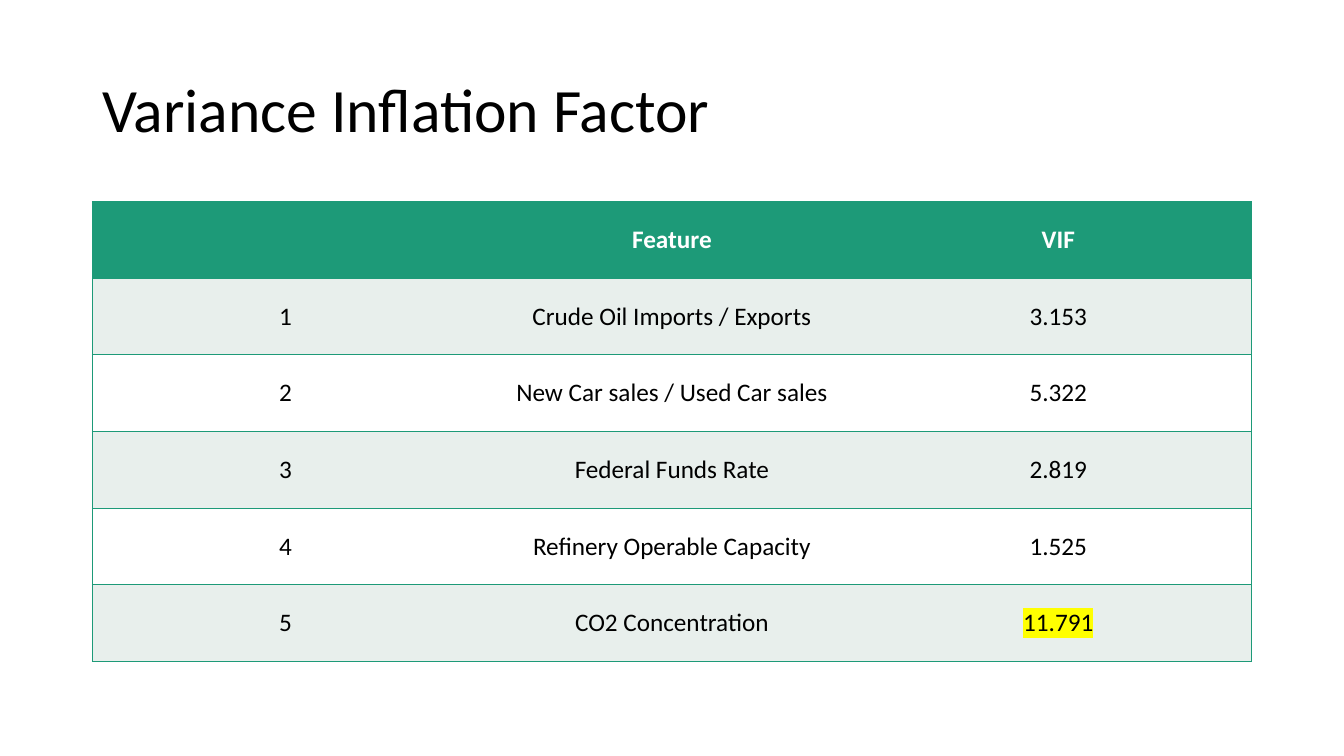
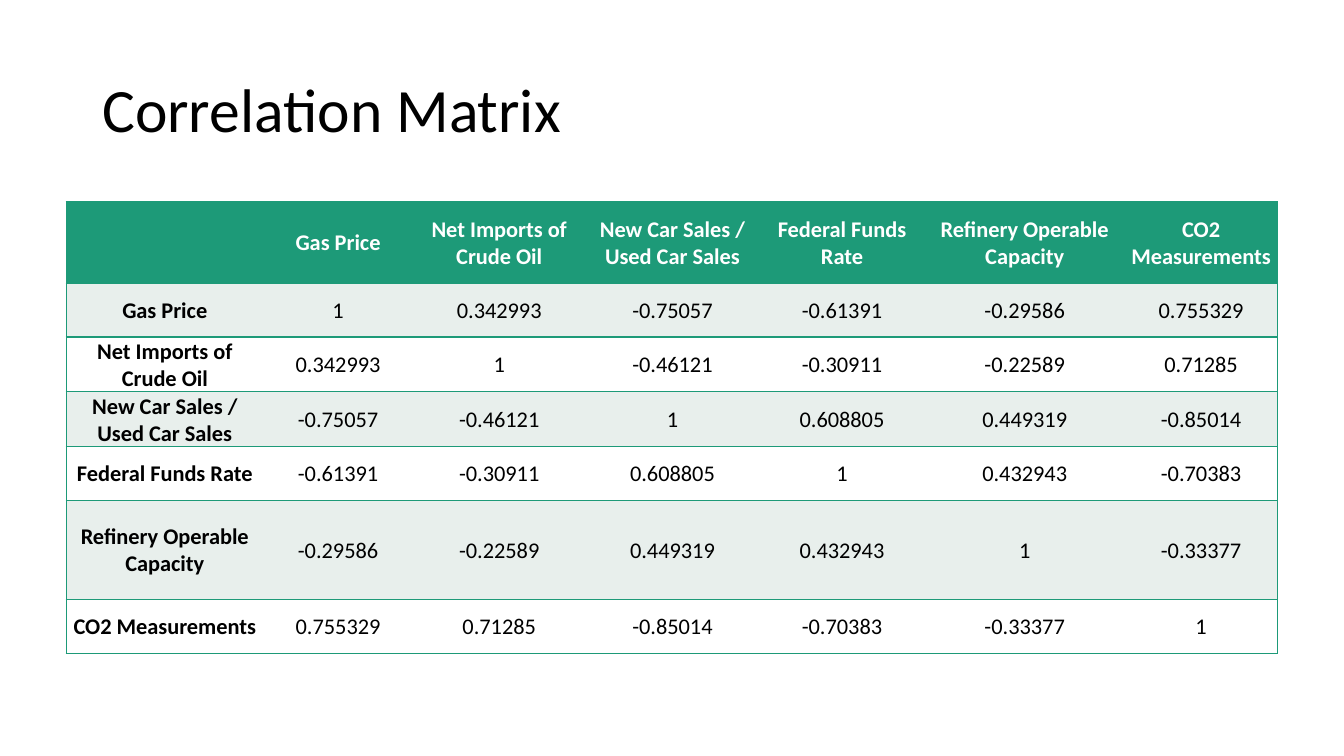
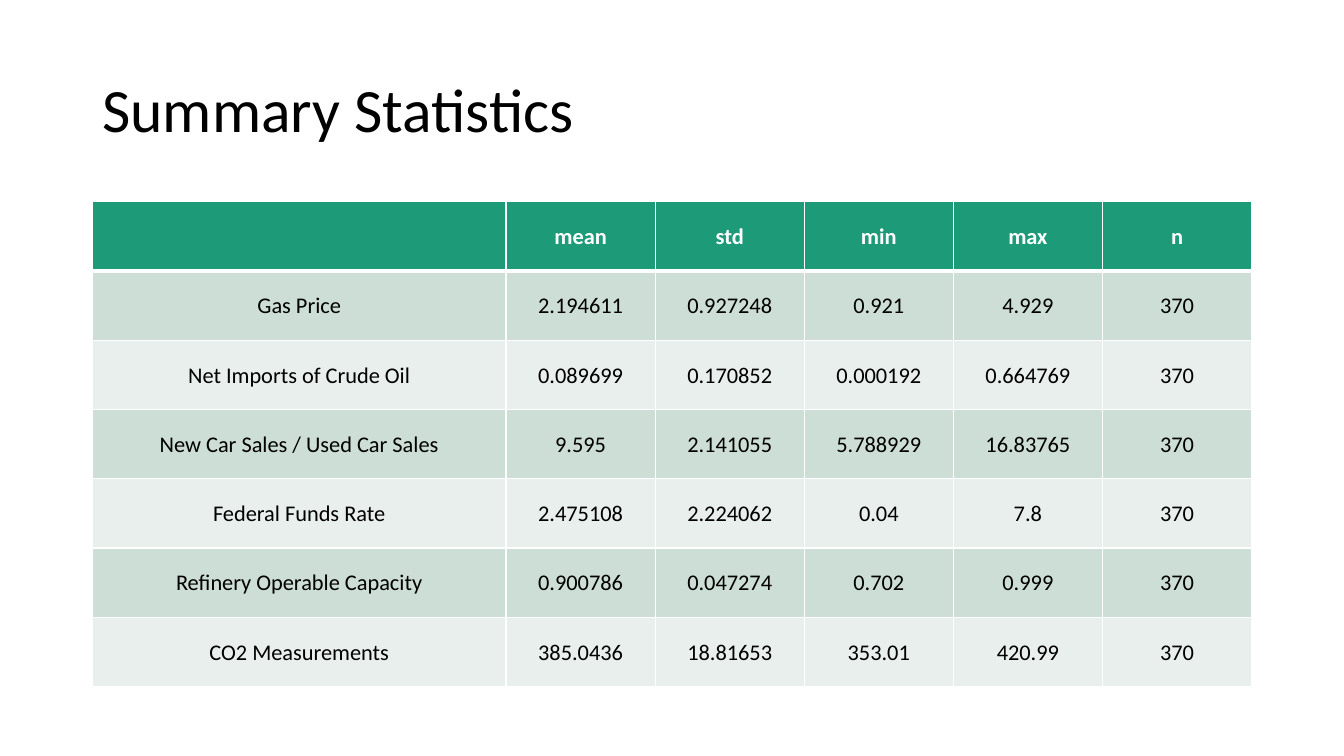
from lxml.etree import SubElement
from pptx import Presentation
from pptx.dml.color import RGBColor
from pptx.enum.text import MSO_ANCHOR, PP_ALIGN
from pptx.oxml.ns import qn
from pptx.util import Pt

SCALE = 9525
FONT = "Calibri"
COLORS = {
    "green": "1D9A78",
    "mint": "CDDED6",
    "pale": "E8EFEC",
    "white": "FFFFFF",
    "black": "000000",
    "yellow": "FFFF00",
}
LINED = {"bands": ("pale", "white"), "line": "green", "verticals": False, "header_line": 1}
GRID = {"bands": ("mint", "pale"), "line": "white", "verticals": True, "header_line": 3}


def px(length):
    return length * SCALE


def color(name):
    return RGBColor.from_string(COLORS[name])


class Slides:
    def __init__(self):
        self.deck = Presentation()
        self.deck.slide_width = px(1280)
        self.deck.slide_height = px(720)
        self.page = None

    def add_page(self, title):
        self.page = self.deck.slides.add_slide(self.deck.slide_layouts[6])
        box = self.page.shapes.add_textbox(px(88), px(38), px(1104), px(139))
        box.text_frame.word_wrap = True
        box.text_frame.vertical_anchor = MSO_ANCHOR.MIDDLE
        para = box.text_frame.paragraphs[0]
        para.line_spacing = 0.9
        self.add_text(para, title, 44, "black")

    def add_text(self, para, text, size, ink, bold=False):
        para.add_run().text = text
        para.font.name = FONT
        para.font.size = Pt(size)
        para.font.bold = bold
        para.font.color.rgb = color(ink)

    def border(self, cell, side, name, width):
        properties = cell._tc.get_or_add_tcPr()
        line = SubElement(properties, qn(f"a:ln{side}"), w=str(Pt(width)))
        if name:
            fill = SubElement(line, qn("a:solidFill"))
            SubElement(fill, qn("a:srgbClr"), val=COLORS[name])
        else:
            SubElement(line, qn("a:noFill"))

    def highlight(self, cell, name):
        span = cell.text_frame.paragraphs[0].runs[0]
        mark = SubElement(span._r.get_or_add_rPr(), qn("a:highlight"))
        SubElement(mark, qn("a:srgbClr"), val=COLORS[name])

    def add_table(self, left, widths, heights, rows, look, size, tight=True, bold_labels=False):
        frame = self.page.shapes.add_table(
            len(rows), len(widths), px(left), px(192), px(sum(widths)), px(sum(heights)))
        table = frame.table
        table.horz_banding = False
        table.first_col = bold_labels
        for column, width in zip(table.columns, widths):
            column.width = px(width)
        for row, height in zip(table.rows, heights):
            row.height = px(height)
        last = len(widths) - 1
        for r, texts in enumerate(rows):
            header = r == 0
            for c, text in enumerate(texts):
                cell = table.cell(r, c)
                left_line = look["line"] if look["verticals"] or c == 0 else None
                right_line = look["line"] if look["verticals"] or c == last else None
                self.border(cell, "L", left_line, 1)
                self.border(cell, "R", right_line, 1)
                self.border(cell, "T", look["line"], look["header_line"] if r == 1 else 1)
                self.border(cell, "B", look["line"], look["header_line"] if header else 1)
                cell.fill.solid()
                cell.fill.fore_color.rgb = color("green" if header else look["bands"][(r - 1) % 2])
                cell.vertical_anchor = MSO_ANCHOR.MIDDLE
                if tight:
                    cell.margin_left = cell.margin_right = cell.margin_top = px(1)
                    cell.margin_bottom = 0
                if text:
                    para = cell.text_frame.paragraphs[0]
                    para.alignment = PP_ALIGN.CENTER
                    self.add_text(para, text, size, "white" if header else "black",
                                  header or (bold_labels and c == 0))
        return table


VIF = [
    ("", "Feature", "VIF"),
    ("1", "Crude Oil Imports / Exports", "3.153"),
    ("2", "New Car sales / Used Car sales", "5.322"),
    ("3", "Federal Funds Rate", "2.819"),
    ("4", "Refinery Operable Capacity", "1.525"),
    ("5", "CO2 Concentration", "11.791"),
]
CORRELATIONS = [
    ("", "Gas Price", "Net Imports of Crude Oil", "New Car Sales / Used Car Sales",
     "Federal Funds Rate", "Refinery Operable Capacity", "CO2 Measurements"),
    ("Gas Price", "1", "0.342993", "-0.75057", "-0.61391", "-0.29586", "0.755329"),
    ("Net Imports of Crude Oil", "0.342993", "1", "-0.46121", "-0.30911", "-0.22589", "0.71285"),
    ("New Car Sales / Used Car Sales",
     "-0.75057", "-0.46121", "1", "0.608805", "0.449319", "-0.85014"),
    ("Federal Funds Rate", "-0.61391", "-0.30911", "0.608805", "1", "0.432943", "-0.70383"),
    ("Refinery Operable Capacity",
     "-0.29586", "-0.22589", "0.449319", "0.432943", "1", "-0.33377"),
    ("CO2 Measurements", "0.755329", "0.71285", "-0.85014", "-0.70383", "-0.33377", "1"),
]
STATISTICS = [
    ("", "mean", "std", "min", "max", "n"),
    ("Gas Price", "2.194611", "0.927248", "0.921", "4.929", "370"),
    ("Net Imports of Crude Oil", "0.089699", "0.170852", "0.000192", "0.664769", "370"),
    ("New Car Sales / Used Car Sales", "9.595", "2.141055", "5.788929", "16.83765", "370"),
    ("Federal Funds Rate", "2.475108", "2.224062", "0.04", "7.8", "370"),
    ("Refinery Operable Capacity", "0.900786", "0.047274", "0.702", "0.999", "370"),
    ("CO2 Measurements", "385.0436", "18.81653", "353.01", "420.99", "370"),
]


def main():
    slides = Slides()

    slides.add_page("Variance Inflation Factor")
    factors = slides.add_table(88, [368] * 3, [73] * 6, VIF, LINED, 18, tight=False)
    slides.highlight(factors.cell(5, 2), "yellow")

    slides.add_page("Correlation Matrix")
    slides.add_table(63, [188, 142, 165, 165, 158, 190, 146], [78, 51, 51, 51, 51, 95, 51],
                     CORRELATIONS, LINED, 16, bold_labels=True)

    slides.add_page("Summary Statistics")
    slides.add_table(88, [394] + [142] * 5, [66] * 7, STATISTICS, GRID, 16)

    slides.deck.save("out.pptx")


if __name__ == "__main__":
    main()
